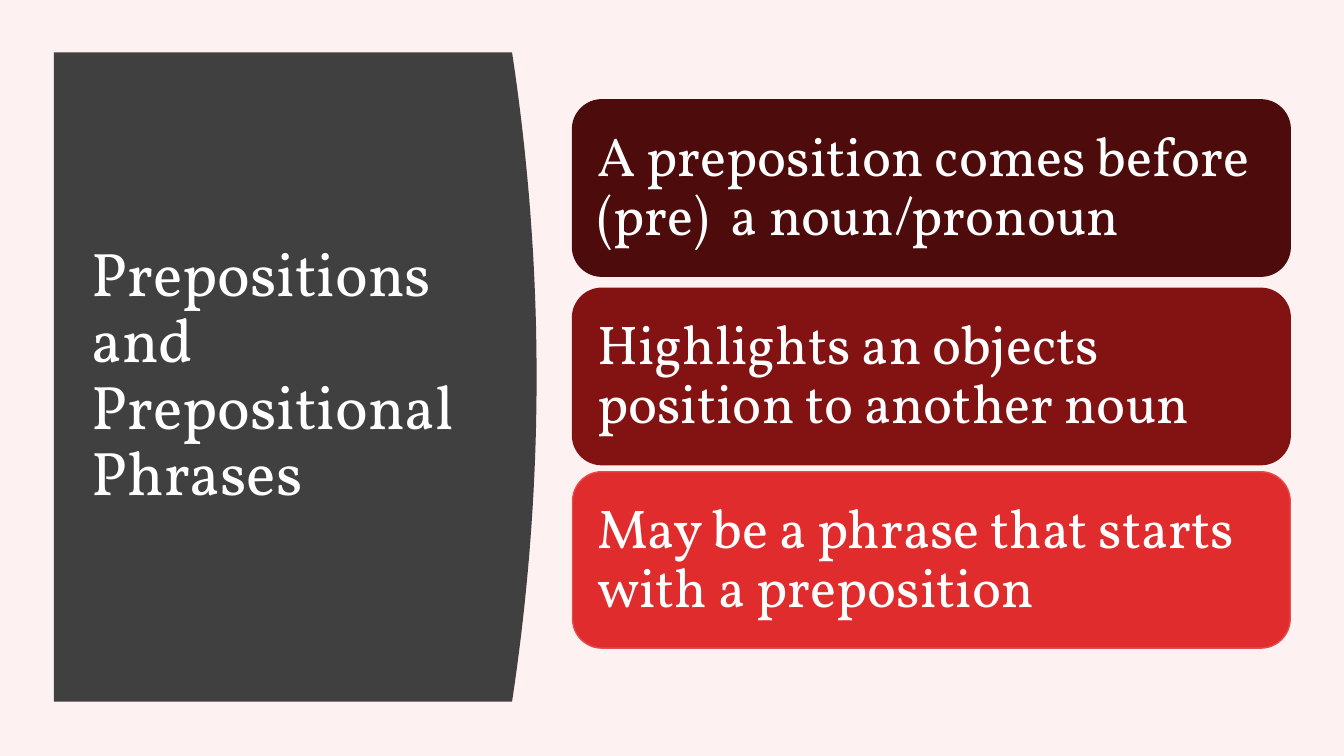
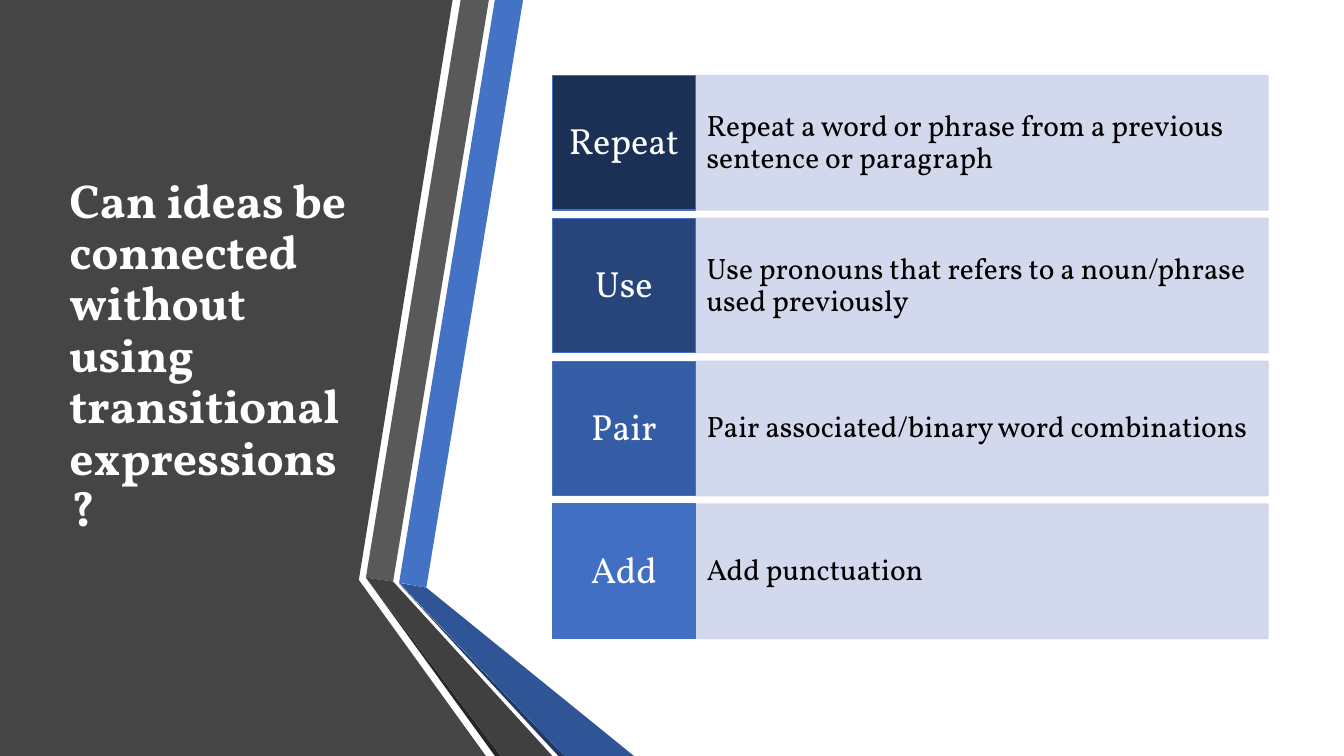
from lxml import etree
from pptx import Presentation
from pptx import util as u
from pptx.dml.color import RGBColor
from pptx.enum import shapes, text
from pptx.oxml.ns import qn

COLUMNS, ROWS = 40, 22.5
CELL = u.Inches(1 / 3)

WHITE = RGBColor(0xFF, 0xFF, 0xFF)
BLACK = RGBColor(0x00, 0x00, 0x00)
BLUSH = RGBColor(0xFD, 0xF1, 0xF1)
CHARCOAL = RGBColor(0x40, 0x40, 0x40)
SLATE = RGBColor(0x45, 0x45, 0x45)
GREY = RGBColor(0x59, 0x59, 0x59)
DARK_GREY = RGBColor(0x26, 0x26, 0x26)
MAROON = RGBColor(0x4D, 0x0B, 0x0B)
CRIMSON = RGBColor(0x83, 0x13, 0x13)
RED = RGBColor(0xE0, 0x2C, 0x2C)
LIGHT_RED = RGBColor(0xE5, 0x4D, 0x4D)
BLUE = RGBColor(0x44, 0x72, 0xC4)
DEEP_BLUE = RGBColor(0x2F, 0x55, 0x97)
NAVY = RGBColor(0x20, 0x38, 0x64)
PALE_BLUE = RGBColor(0xCF, 0xD5, 0xEA)
LABEL_BLUES = (
    RGBColor(0x1B, 0x30, 0x55),
    RGBColor(0x27, 0x45, 0x7B),
    RGBColor(0x34, 0x5D, 0xA6),
    RGBColor(0x41, 0x6F, 0xC3),
)

TITLE = {"name": "Vollkorn", "size": u.Pt(44), "bold": False}
BOLD_TITLE = {**TITLE, "size": u.Pt(34), "bold": True}
CARD = {**TITLE, "size": u.Pt(39)}
LABEL = {**TITLE, "size": u.Pt(26)}
DETAIL = {**TITLE, "size": u.Pt(21)}

CARDS = (
    (2.97, "A preposition comes before (pre)  a noun/pronoun", MAROON, MAROON),
    (8.58, "Highlights an objects position to another noun", CRIMSON, CRIMSON),
    (14.04, "May be a phrase that starts with a preposition", RED, LIGHT_RED),
)
METHODS = (
    ("Repeat", "Repeat a word or phrase from a previous sentence or paragraph"),
    ("Use", "Use pronouns that refers to a noun/phrase used previously"),
    ("Pair", "Pair associated/binary word combinations"),
    ("Add", "Add punctuation"),
)
RIBBONS = (
    (SLATE, [(0, 0), (13.47, 0), (10.68, 17.26), (14.46, ROWS), (0, ROWS)]),
    (BLUE, [(11.88, 17.34), (12.69, 17.49), (15.57, 0), (14.73, 0)]),
    (GREY, [(14.55, 0), (13.71, 0), (10.89, 17.19), (11.7, 17.31)]),
    (DARK_GREY, [(10.89, 17.19), (14.73, ROWS), (14.91, ROWS)]),
    (NAVY, [(11.88, 17.37), (16.62, ROWS), (16.8, ROWS)]),
    (DEEP_BLUE, [(11.88, 17.35), (16.8, ROWS), (18.87, ROWS), (12.69, 17.49)]),
    (CHARCOAL, [(16.44, ROWS), (11.7, 17.31), (10.89, 17.19), (14.91, ROWS)]),
)


def cells(*counts):
    return [u.Emu(round(count * CELL)) for count in counts]


def add_slide(presentation, background):
    slide = presentation.slides.add_slide(presentation.slide_layouts[6])
    slide.background.fill.solid()
    slide.background.fill.fore_color.rgb = background
    return slide


def write(shape, words, font, color=WHITE, margins=(0.1, 0.05),
          alignment=text.PP_ALIGN.LEFT):
    side, edge = (u.Inches(margin) for margin in margins)
    frame_format = {
        "word_wrap": True,
        "vertical_anchor": text.MSO_ANCHOR.MIDDLE,
        "margin_left": side,
        "margin_right": side,
        "margin_top": edge,
        "margin_bottom": edge,
    }
    for name, value in frame_format.items():
        setattr(shape.text_frame, name, value)
    paragraph = shape.text_frame.paragraphs[0]
    paragraph.text = words
    paragraph.alignment = alignment
    paragraph.line_spacing = 0.9
    for run in paragraph.runs:
        for name, value in font.items():
            setattr(run.font, name, value)
        run.font.color.rgb = color


def add_title(slide, place, words, font):
    write(slide.shapes.add_textbox(*cells(*place)), words, font)


def add_box(slide, kind, place, fill, line):
    shape = slide.shapes.add_shape(kind, *cells(*place))
    shape.shadow.inherit = False
    shape.fill.solid()
    shape.fill.fore_color.rgb = fill
    shape.line.color.rgb = line
    shape.line.width = u.Pt(1)
    return shape


def add_outline(slide, points, fill):
    start, *others = [cells(*point) for point in points]
    builder = slide.shapes.build_freeform(*start)
    builder.add_line_segments(others, close=True)
    shape = builder.convert_to_shape()
    shape.shadow.inherit = False
    shape.fill.solid()
    shape.fill.fore_color.rgb = fill
    shape.line.fill.background()


def set_opacity(shape, percent):
    for color in shape.element.spPr.iter(qn("a:srgbClr")):
        etree.SubElement(color, qn("a:alpha"), val=str(percent * 1000))


def curved_panel(left, top, right, bottom, bulge, steps=40):
    curve = []
    for step in range(steps + 1):
        share = step / steps
        curve.append((right + 4 * bulge * share * (1 - share),
                      top + (bottom - top) * share))
    return [(left, top), *curve, (left, bottom)]


def add_card(slide, top, words, fill, line):
    card = add_box(slide, shapes.MSO_SHAPE.ROUNDED_RECTANGLE,
                   (17.04, top, 21.36, 5.25), fill, line)
    write(card, words, CARD, margins=(0.16, 0.16))


def add_method(slide, index, label, detail):
    left, top, label_width, height = 16.44, 2.25 + 4.25 * index, 4.26, 4
    rectangle = shapes.MSO_SHAPE.RECTANGLE
    bar = add_box(slide, rectangle,
                  (left + label_width, top, 4 * label_width, height),
                  PALE_BLUE, PALE_BLUE)
    set_opacity(bar, 90)
    write(bar, detail, DETAIL, BLACK, (0.11, 0.34))
    tile = add_box(slide, rectangle, (left, top, label_width, height),
                   LABEL_BLUES[index], BLUE)
    write(tile, label, LABEL, WHITE, (0.08, 0.13), text.PP_ALIGN.CENTER)


def build_prepositions(presentation):
    slide = add_slide(presentation, BLUSH)
    add_outline(slide, curved_panel(1.6, 1.56, 15.24, 20.88, 0.73), CHARCOAL)
    add_title(slide, (2.43, 3.33, 12.18, 15.72),
              "Prepositions\vand\vPrepositional Phrases", TITLE)
    for card in CARDS:
        add_card(slide, *card)


def build_connections(presentation):
    slide = add_slide(presentation, WHITE)
    for fill, points in RIBBONS:
        add_outline(slide, points, fill)
    add_title(slide, (1.77, 2.25, 9.12, 16.74),
              "Can ideas be connected without using transitional expressions?",
              BOLD_TITLE)
    for index, method in enumerate(METHODS):
        add_method(slide, index, *method)


def main():
    presentation = Presentation()
    presentation.slide_width, presentation.slide_height = cells(COLUMNS, ROWS)
    build_prepositions(presentation)
    build_connections(presentation)
    presentation.save("out.pptx")


if __name__ == "__main__":
    main()
